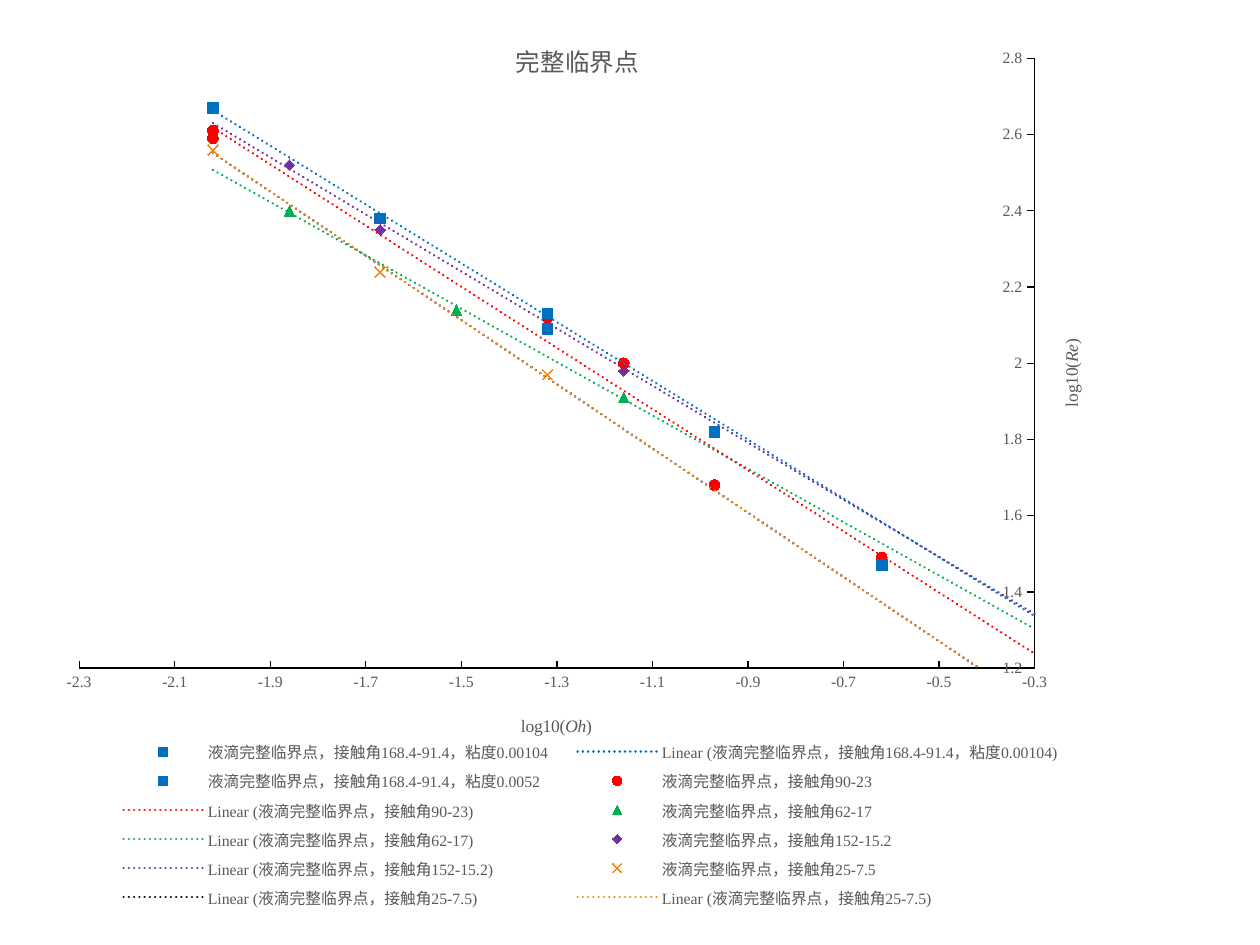
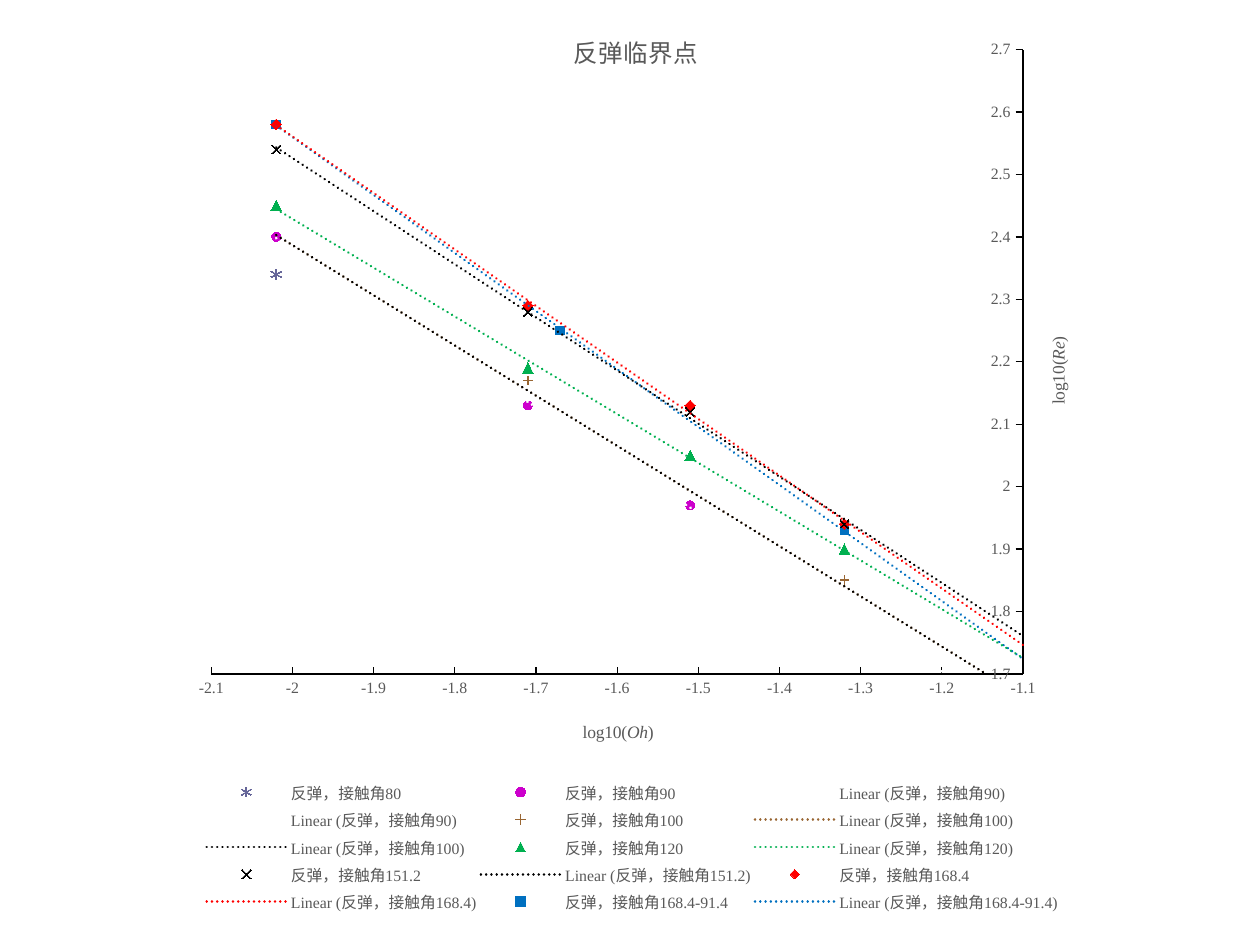
from lxml import etree
from pptx import Presentation
from pptx.chart.data import XyChartData
from pptx.dml.color import RGBColor
from pptx.enum.chart import (XL_CHART_TYPE, XL_LEGEND_POSITION,
                             XL_MARKER_STYLE as MARK, XL_TICK_MARK)
from pptx.oxml import parse_xml
from pptx.oxml.ns import nsdecls, qn
from pptx.util import Pt

PX = 914400 / 126
FONT = "Times New Roman"
GREY = RGBColor(0x59, 0x59, 0x59)
BLACK = RGBColor(0, 0, 0)
WHITE = RGBColor(0xFF, 0xFF, 0xFF)
BLUE = RGBColor(0x00, 0x70, 0xC0)
RED = RGBColor(0xFF, 0, 0)
GREEN = RGBColor(0x00, 0xB0, 0x50)
PURPLE = RGBColor(0x70, 0x30, 0xA0)
ORANGE = RGBColor(0xF0, 0x8A, 0x1E)
VIOLET = RGBColor(0x66, 0x66, 0x99)
MAGENTA = RGBColor(0xCC, 0, 0xCC)
BROWN = RGBColor(0x99, 0x66, 0x33)

LOG_OH = [-2.02, -2.02, -1.86, -1.67, -1.51, -1.32, -1.16, -0.97, -0.62,
          -0.28, -0.27, 0.02, -2.02, -1.71, -1.67, -1.51, -1.32]
PLOT_AREA = (0.025, 0.053, 0.91, 0.668)
OH_TITLE = [("log10(", False), ("Oh", True), (")", False)]
RE_TITLE = [("log10(", False), ("Re", True), (")", False)]

CRITICAL_POINTS = [
    dict(
        title="完整临界点", frame=(53, 10, 1050, 913),
        oh_range=(-2.3, -0.3, 0.2), re_range=(1.2, 2.8, 0.2),
        title_at=(0.436, 0.028), oh_at=(0.442, 0.767), re_at=(0.955, 0.356),
        legend_at=(0.044, 0.793, 0.936, 0.198),
        series=[
            ("液滴完整临界点，接触角168.4-91.4，粘度0.00104", MARK.SQUARE, 6, BLUE,
             [BLUE], {0: 2.67, 3: 2.38, 5: 2.13}),
            ("液滴完整临界点，接触角168.4-91.4，粘度0.0052", MARK.SQUARE, 6, BLUE,
             [], {5: 2.09, 7: 1.82, 8: 1.47}),
            ("液滴完整临界点，接触角90-23", MARK.CIRCLE, 6, RED, [RED],
             {0: 2.61, 1: 2.59, 5: 2.12, 6: 2, 7: 1.68, 8: 1.49}),
            ("液滴完整临界点，接触角62-17", MARK.TRIANGLE, 6, GREEN, [GREEN],
             {2: 2.4, 4: 2.14, 6: 1.91}),
            ("液滴完整临界点，接触角152-15.2", MARK.DIAMOND, 6, PURPLE, [PURPLE],
             {2: 2.52, 3: 2.35, 5: 2.12, 6: 1.98}),
            ("液滴完整临界点，接触角25-7.5", MARK.X, 6, ORANGE, [BLACK, ORANGE],
             {0: 2.56, 3: 2.24, 5: 1.97}),
        ]),
    dict(
        title="反弹临界点", frame=(189, 0, 892, 935),
        oh_range=(-2.1, -1.1, 0.1), re_range=(1.7, 2.7, 0.1),
        title_at=(0.426, 0.028), oh_at=(0.437, 0.766), re_at=(0.957, 0.356),
        legend_at=(0.015, 0.83, 0.964, 0.152),
        series=[
            ("反弹，接触角80", MARK.STAR, 6, VIOLET, [], {12: 2.34}),
            ("反弹，接触角90", MARK.CIRCLE, 5, MAGENTA, [WHITE, WHITE],
             {12: 2.4, 13: 2.13, 15: 1.97}),
            ("反弹，接触角100", MARK.PLUS, 5, BROWN, [BROWN, BLACK],
             {12: 2.4, 13: 2.17, 15: 1.97, 16: 1.85}),
            ("反弹，接触角120", MARK.TRIANGLE, 6, GREEN, [GREEN],
             {12: 2.45, 13: 2.19, 15: 2.05, 16: 1.9}),
            ("反弹，接触角151.2", MARK.X, 5, BLACK, [BLACK],
             {12: 2.54, 13: 2.28, 15: 2.12, 16: 1.94}),
            ("反弹，接触角168.4", MARK.DIAMOND, 6, RED, [RED],
             {12: 2.58, 13: 2.29, 15: 2.13, 16: 1.94}),
            ("反弹，接触角168.4-91.4", MARK.SQUARE, 5, BLUE, [BLUE],
             {12: 2.58, 14: 2.25, 16: 1.93}),
        ]),
]


def style_font(font, size, color=GREY, italic=False):
    font.name = FONT
    font.size = Pt(size)
    font.color.rgb = color
    font.bold = False
    font.italic = italic


def write_text(text_frame, parts, size=10, color=GREY, turned=False):
    for text, italic in parts:
        run = text_frame.paragraphs[0].add_run()
        run.text = text
        style_font(run.font, size, color, italic)
    if turned:
        body = text_frame._txBody.find(qn("a:bodyPr"))
        body.set("rot", "-5400000")
        body.set("vert", "horz")


def place(part, position, after=None, inner=False):
    for old in part.findall(qn("c:layout")):
        part.remove(old)
    layout = parse_xml(f"<c:layout {nsdecls('c')}><c:manualLayout/></c:layout>")
    settings = [("layoutTarget", "inner")] if inner else []
    settings += [("xMode", "edge"), ("yMode", "edge")]
    settings += zip("xywh", position)
    for tag, value in settings:
        etree.SubElement(layout[0], qn(f"c:{tag}")).set("val", str(value))
    index = 0 if after is None else part.index(part.find(qn(after))) + 1
    part.insert(index, layout)


def add_trend(series, color):
    trend = parse_xml(
        f'<c:trendline {nsdecls("c", "a")}><c:spPr><a:ln w="19050" cap="rnd">'
        f'<a:solidFill><a:srgbClr val="{color}"/></a:solidFill>'
        '<a:prstDash val="sysDot"/></a:ln></c:spPr>'
        '<c:trendlineType val="linear"/><c:dispRSqr val="0"/>'
        '<c:dispEq val="0"/></c:trendline>')
    series._element.find(qn("c:xVal")).addprevious(trend)


def format_series(series, marker, size, color, trends):
    series.format.line.fill.background()
    series.smooth = False
    series.marker.style = marker
    series.marker.size = size
    series.marker.format.fill.solid()
    series.marker.format.fill.fore_color.rgb = color
    series.marker.format.line.color.rgb = color
    for trend_color in trends:
        add_trend(series, trend_color)
    for point in list(series._element.iter(qn("c:pt"))):
        if point.findtext(qn("c:v")) in ("None", ""):
            point.getparent().remove(point)


def format_axis(axis, limits, tick, title, title_at, turned=False):
    axis.minimum_scale, axis.maximum_scale, axis.major_unit = limits
    axis.has_major_gridlines = False
    axis.major_tick_mark = tick
    axis.minor_tick_mark = XL_TICK_MARK.NONE
    axis.format.line.color.rgb = BLACK
    axis.format.line.width = Pt(0.75)
    style_font(axis.tick_labels.font, 9)
    write_text(axis.axis_title.text_frame, title, turned=turned)
    place(axis.axis_title._element, title_at, after="c:tx")


def add_critical_chart(slide, content):
    data = XyChartData()
    for name, *_, log_re in content["series"]:
        points = data.add_series(name)
        for index, log_oh in enumerate(LOG_OH):
            points.add_data_point(log_oh, log_re.get(index))
    frame = [round(length * PX) for length in content["frame"]]
    chart = slide.shapes.add_chart(XL_CHART_TYPE.XY_SCATTER, *frame, data).chart
    style_font(chart.font, 10, BLACK)
    chart.plots[0].vary_by_categories = False
    for series, (_, *look, _) in zip(chart.plots[0].series, content["series"]):
        format_series(series, *look)

    format_axis(chart.category_axis, content["oh_range"], XL_TICK_MARK.INSIDE,
                OH_TITLE, content["oh_at"])
    format_axis(chart.value_axis, content["re_range"], XL_TICK_MARK.OUTSIDE,
                RE_TITLE, content["re_at"], turned=True)

    chart.has_title = True
    write_text(chart.chart_title.text_frame, [(content["title"], False)], size=14)
    chart.chart_title.include_in_layout = False
    place(chart.chart_title._element, content["title_at"], after="c:tx")

    chart.has_legend = True
    chart.legend.position = XL_LEGEND_POSITION.BOTTOM
    chart.legend.include_in_layout = False
    style_font(chart.legend.font, 9)
    place(chart.legend._element, content["legend_at"], after="c:legendPos")
    place(chart._chartSpace.find(".//" + qn("c:plotArea")), PLOT_AREA, inner=True)


def main():
    deck = Presentation()
    deck.slide_width = round(1260 * PX)
    deck.slide_height = round(945 * PX)
    for content in CRITICAL_POINTS:
        add_critical_chart(deck.slides.add_slide(deck.slide_layouts[6]), content)
    deck.save("out.pptx")


if __name__ == "__main__":
    main()
